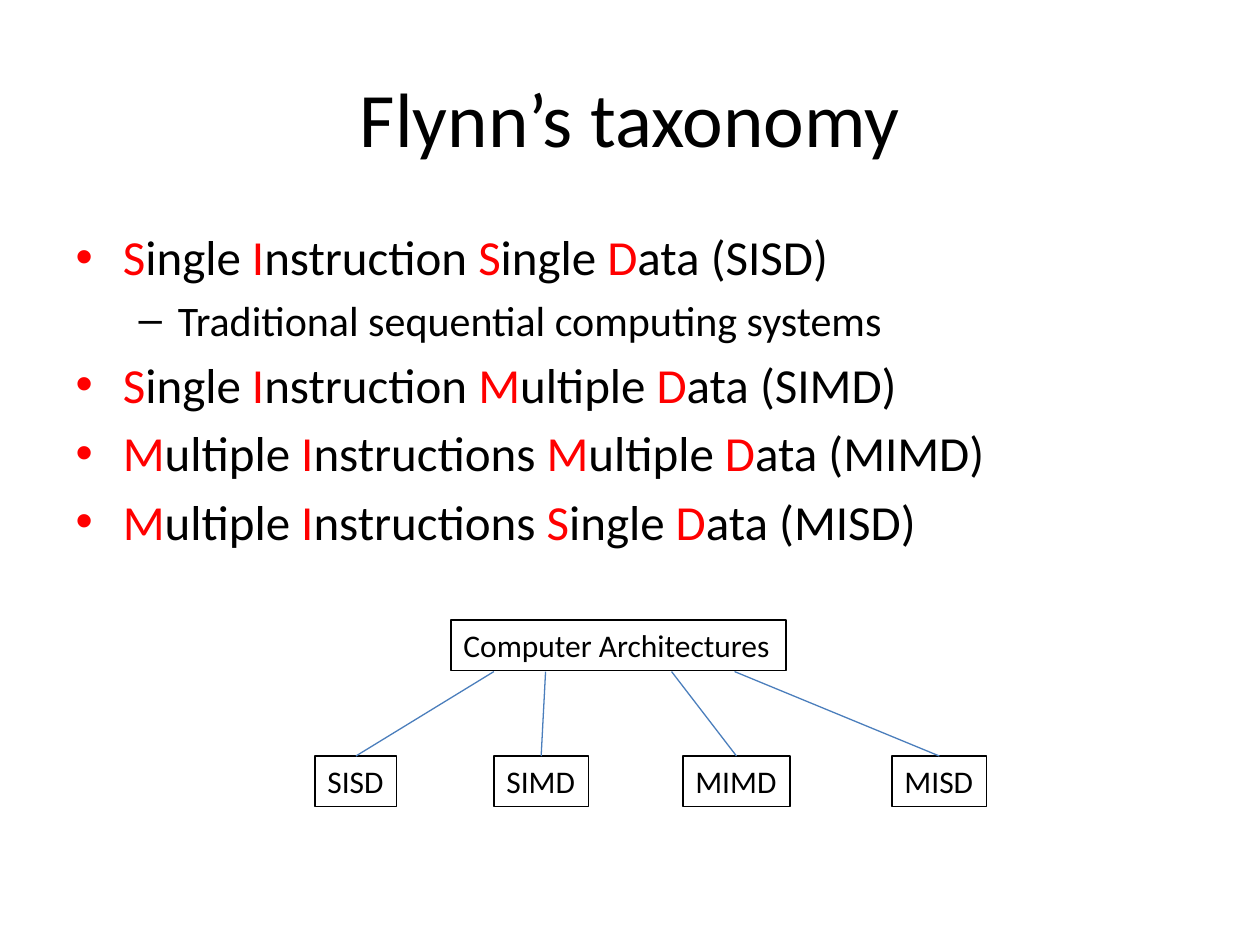
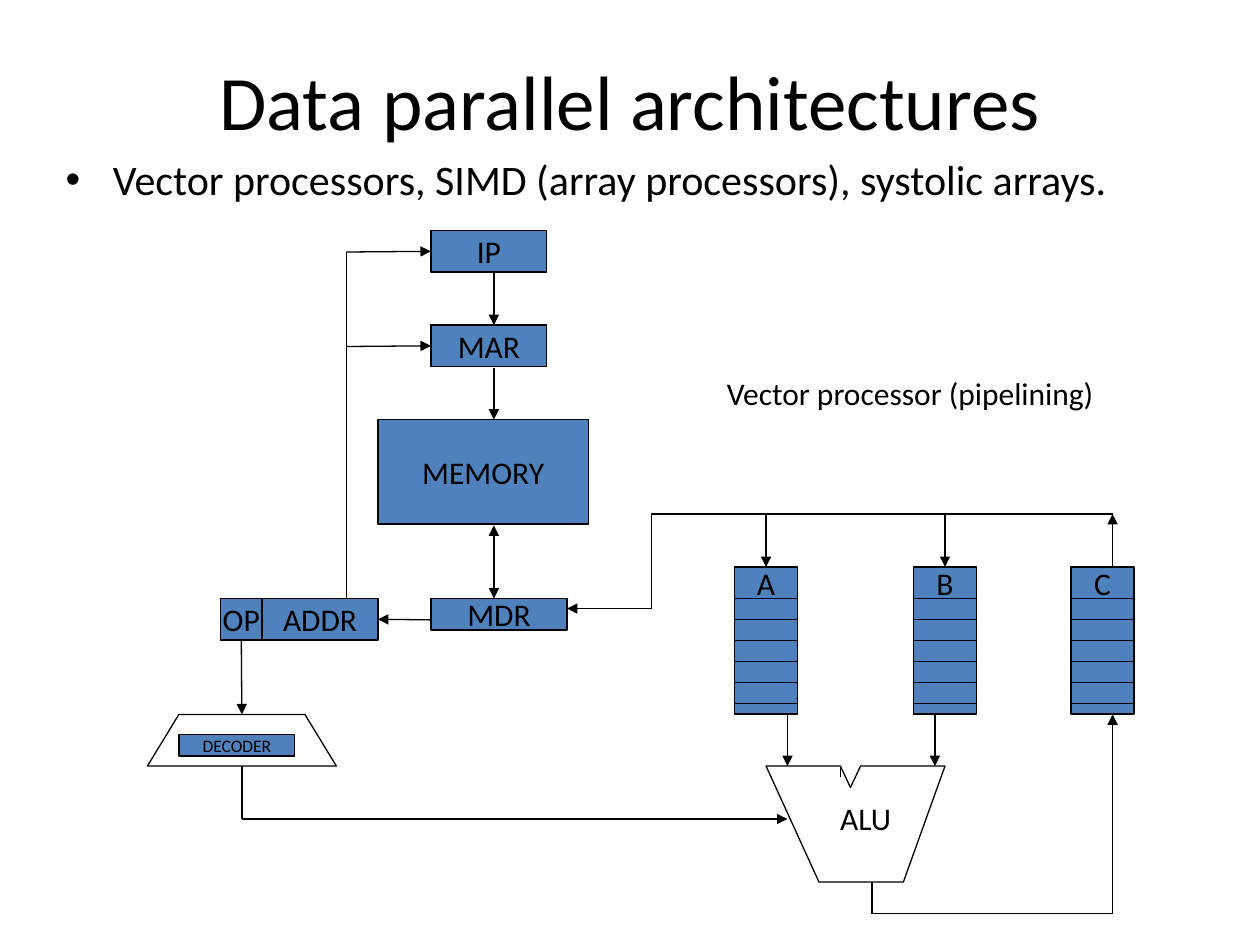
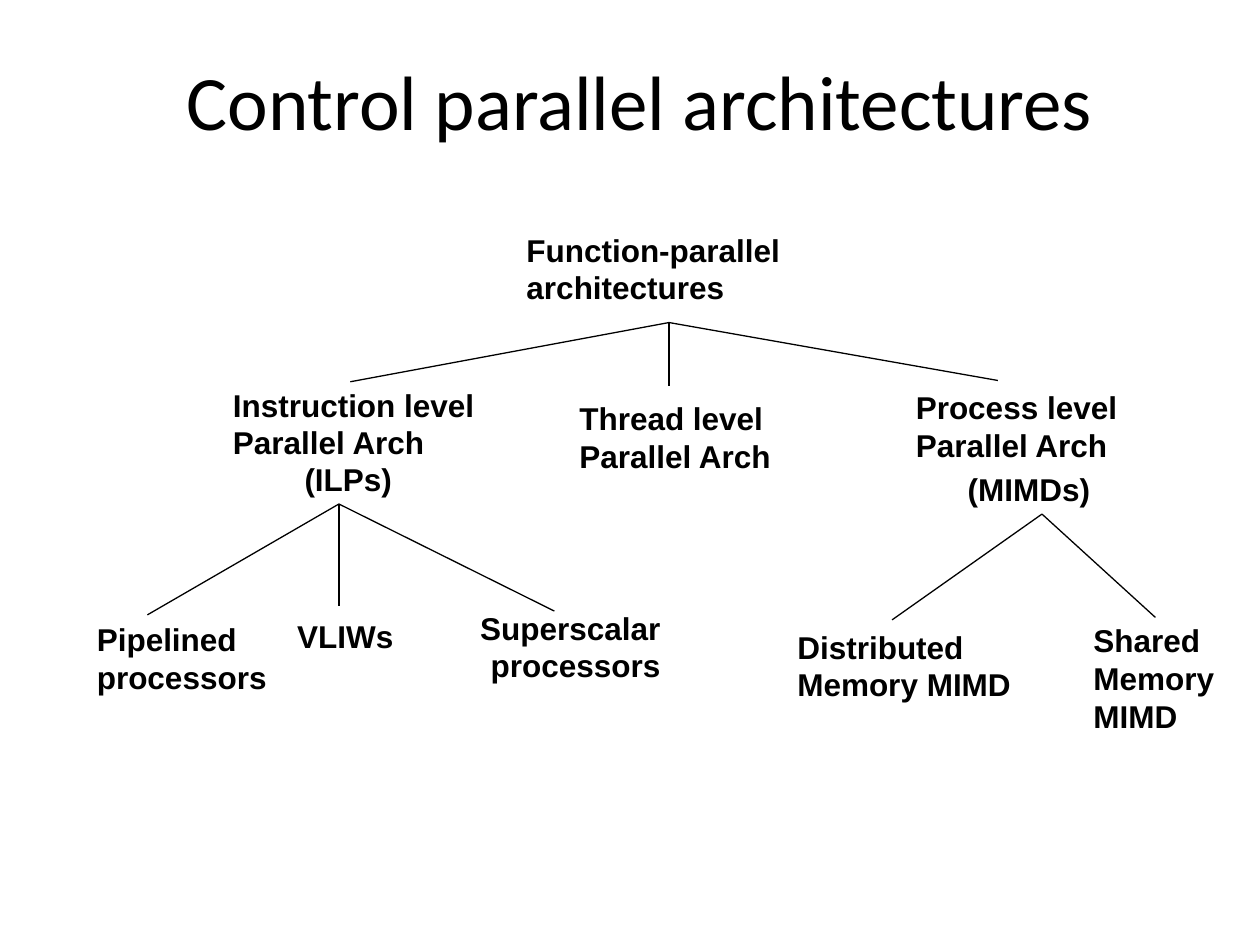
from lxml.etree import SubElement
from pptx import Presentation
from pptx.dml.color import RGBColor
from pptx.enum.shapes import MSO_CONNECTOR, MSO_SHAPE
from pptx.enum.text import MSO_ANCHOR, MSO_AUTO_SIZE, PP_ALIGN
from pptx.oxml.ns import qn
from pptx.util import Inches, Pt

BLACK = RGBColor(0x00, 0x00, 0x00)
RED = RGBColor(0xFF, 0x00, 0x00)
BLUE = RGBColor(0x4F, 0x81, 0xBD)
BRANCH_BLUE = RGBColor(0x4B, 0x7E, 0xBC)
LINE_WIDTH = Pt(0.75)
TOP, LEFT, BOTTOM, RIGHT = range(4)
TITLE_AND_BODY, TITLE_ONLY = 1, 5


class SlideBuilder:
    def __init__(self):
        self.deck = Presentation()
        self.deck.slide_width = Inches(10)
        self.deck.slide_height = Inches(7.5)
        self.page = None

    def new_page(self, layout, title, left, top):
        self.page = self.deck.slides.add_slide(self.deck.slide_layouts[layout])
        box = self.page.shapes.title
        self.place(box, left, top, 9, 1.25)
        box.text_frame.text = title
        paragraph = box.text_frame.paragraphs[0]
        paragraph.alignment = PP_ALIGN.CENTER
        self.style(paragraph.runs[0], 44)

    def place(self, box, left, top, width, height):
        box.left, box.top = Inches(left), Inches(top)
        box.width, box.height = Inches(width), Inches(height)

    def style(self, span, size, color=BLACK, name="Calibri", bold=None):
        span.font.size = Pt(size)
        span.font.name = name
        span.font.bold = bold
        span.font.color.rgb = color

    def body(self, items, left, top, width, height):
        box = self.page.placeholders[1]
        self.place(box, left, top, width, height)
        frame = box.text_frame
        frame.auto_size = MSO_AUTO_SIZE.NONE
        for index, (level, size, spans) in enumerate(items):
            paragraph = frame.add_paragraph() if index else frame.paragraphs[0]
            paragraph.level = level
            if not index:
                paragraph.space_before = Pt(0)
            for text, color in spans:
                span = paragraph.add_run()
                span.text = text
                self.style(span, size, color)

    def label(self, text, left, top, width, height, outlined=False, **look):
        box = self.page.shapes.add_textbox(
            Inches(left), Inches(top), Inches(width), Inches(height))
        if outlined:
            box.line.color.rgb = BLACK
            box.line.width = LINE_WIDTH
        self.fill_text(box, text, PP_ALIGN.LEFT, 18, **look)
        return box

    def caption(self, text, left, top, width, height, align=PP_ALIGN.LEFT):
        box = self.label(text, left, top, width, height, name="Arial", bold=True)
        frame = box.text_frame
        frame.word_wrap = True
        frame.vertical_anchor = MSO_ANCHOR.BOTTOM
        frame.paragraphs[0].alignment = align

    def fill_text(self, box, text, align, size, **look):
        frame = box.text_frame
        frame.text = text
        frame.word_wrap = False
        frame.paragraphs[0].alignment = align
        self.style(frame.paragraphs[0].runs[0], size, **look)

    def block(self, left, top, width, height, text="", size=18):
        box = self.page.shapes.add_shape(
            MSO_SHAPE.RECTANGLE,
            Inches(left), Inches(top), Inches(width), Inches(height))
        box.shadow.inherit = False
        box.fill.solid()
        box.fill.fore_color.rgb = BLUE
        box.line.color.rgb = BLACK
        box.line.width = LINE_WIDTH
        if text:
            box.text_frame.vertical_anchor = MSO_ANCHOR.MIDDLE
            self.fill_text(box, text, PP_ALIGN.CENTER, size)
        return box

    def outline(self, points):
        corners = [(Inches(x), Inches(y)) for x, y in points]
        builder = self.page.shapes.build_freeform(*corners[0])
        builder.add_line_segments(corners[1:], close=True)
        shape = builder.convert_to_shape()
        shape.shadow.inherit = False
        shape.fill.background()
        shape.line.color.rgb = BLACK
        shape.line.width = LINE_WIDTH

    def line(self, start, end, color=BLACK, heads=(), begin_at=None, end_at=None):
        link = self.page.shapes.add_connector(
            MSO_CONNECTOR.STRAIGHT,
            *(Inches(value) for value in (*start, *end)))
        if begin_at:
            link.begin_connect(*begin_at)
        if end_at:
            link.end_connect(*end_at)
        link.line.color.rgb = color
        link.line.width = LINE_WIDTH
        properties = link.element.spPr
        for head in heads:
            SubElement(properties.find(qn("a:ln")), qn(f"a:{head}"), type="triangle")
        SubElement(properties, qn("a:effectLst"))

    def arrow(self, start, end, **joins):
        self.line(start, end, heads=("tailEnd",), **joins)


def initials_in_red(name, code):
    spans = []
    for word in name.split():
        spans += [(word[0], RED), (word[1:] + " ", BLACK)]
    spans[-1] = (f"{spans[-1][0]}({code})", BLACK)
    return spans


def taxonomy_page(slides):
    slides.new_page(TITLE_AND_BODY, "Flynn’s taxonomy", 0.5, 0.3)
    classes = [
        ("Single Instruction Single Data", "SISD"),
        ("Single Instruction Multiple Data", "SIMD"),
        ("Multiple Instructions Multiple Data", "MIMD"),
        ("Multiple Instructions Single Data", "MISD"),
    ]
    items = [(0, 28, initials_in_red(*entry)) for entry in classes]
    items.insert(1, (1, 24, [("Traditional sequential computing systems", BLACK)]))
    slides.body(items, 0.5, 1.75, 9, 2.83)

    slides.label("Computer Architectures", 3.58, 4.92, 2.66, 0.4, outlined=True)
    leaves = [(2.5, 0.65, 3.92), (3.92, 0.75, 4.33),
              (5.42, 0.85, 5.33), (7.08, 0.75, 5.83)]
    for (_, code), (left, width, root_x) in zip(classes, leaves):
        leaf = slides.label(code, left, 6, width, 0.4, outlined=True)
        slides.line((left + width / 2, 6), (root_x, 5.33), BRANCH_BLUE,
                    begin_at=(leaf, TOP))


def register(slides, name, left):
    header = slides.block(left, 4.5, 0.5, 0.25, name)
    cell = 1 / 6
    for row in range(5):
        slides.block(left, 4.75 + row * cell, 0.5, cell)
    slides.block(left, 4.75 + 5 * cell, 0.5, cell / 2)
    return header


def data_parallel_page(slides):
    slides.new_page(TITLE_AND_BODY, "Data parallel architectures", 0.5, 0.17)
    summary = "Vector processors, SIMD (array processors), systolic arrays."
    slides.body([(0, 24, [(summary, BLACK)])], 0.42, 1.17, 9, 0.83)

    pointer = slides.block(3.42, 1.83, 0.92, 0.33, "IP")
    address_register = slides.block(3.42, 2.58, 0.92, 0.33, "MAR")
    slides.block(3, 3.33, 1.67, 0.83, "MEMORY")
    slides.block(3.42, 4.75, 1.08, 0.25, "MDR")
    address = slides.block(2.08, 4.75, 0.92, 0.33, "ADDR")
    opcode = slides.block(1.75, 4.75, 0.33, 0.33, "OP")

    slides.arrow((3.92, 2.17), (3.92, 2.58))
    slides.arrow((3.92, 2.92), (3.92, 3.33))
    slides.line((3.92, 4.17), (3.92, 4.75), heads=("headEnd", "tailEnd"))
    slides.arrow((3.42, 4.92), (3, 4.92), end_at=(address, RIGHT))
    slides.line((2.75, 4.75), (2.75, 2))
    slides.arrow((2.75, 2), (3.42, 2), end_at=(pointer, LEFT))
    slides.arrow((2.75, 2.75), (3.42, 2.75), end_at=(address_register, LEFT))

    slides.outline([(1.42, 5.67), (2.42, 5.67), (2.67, 6.08), (1.17, 6.08)])
    slides.block(1.42, 5.83, 0.92, 0.17, "DECODER", 10)
    slides.arrow((1.92, 5.08), (1.92, 5.67), begin_at=(opcode, BOTTOM))
    slides.line((1.92, 6.08), (1.92, 6.5))
    slides.arrow((1.92, 6.5), (6.25, 6.5))

    slides.line((5.17, 4.08), (8.83, 4.08))
    slides.line((5.17, 4.08), (5.17, 4.83))
    slides.arrow((5.17, 4.83), (4.5, 4.83))
    for name, left in (("A", 5.83), ("B", 7.25)):
        header = register(slides, name, left)
        slides.arrow((left + 0.25, 4.08), (left + 0.25, 4.5), end_at=(header, TOP))
    register(slides, "C", 8.5)
    slides.arrow((8.83, 4.5), (8.83, 4.08))

    slides.outline([(6.08, 6.08), (6.67, 6.08), (6.75, 6.25), (6.83, 6.08),
                    (7.5, 6.08), (7.17, 7), (6.5, 7)])
    slides.line((6.67, 6.08), (6.67, 6.17))
    slides.label("ALU", 6.57, 6.29, 0.69, 0.4)
    for x in (6.25, 7.42):
        slides.arrow((x, 5.67), (x, 6.08))
    slides.line((6.92, 7), (6.92, 7.25))
    slides.line((6.92, 7.25), (8.83, 7.25))
    slides.arrow((8.83, 7.25), (8.83, 5.67))
    slides.label("Vector processor (pipelining)", 5.67, 2.92, 3.15, 0.4)


def control_parallel_page(slides):
    slides.new_page(TITLE_ONLY, "Control parallel architectures", 0.58, 0.17)
    left_captions = [
        ("Function-parallel architectures", 4.08, 1.58, 3.25, 0.9),
        ("Instruction level Parallel Arch", 1.75, 3, 2.28, 0.71),
        ("Thread level Parallel Arch", 4.5, 2.92, 2.46, 0.9),
        ("Process level Parallel Arch", 7.17, 2.83, 2.4, 0.9),
        ("Pipelined processors", 0.67, 4.67, 2.28, 0.9),
        ("Distributed Memory MIMD", 6.23, 4.33, 2.08, 1.3),
        ("Shared Memory MIMD", 8.58, 4.58, 1.64, 1.3),
    ]
    right_captions = [
        ("(ILPs)", 2.08, 3.5, 1.13, 0.5),
        ("(MIMDs)", 7.25, 3.58, 1.5, 0.5),
        ("VLIWs", 2, 4.75, 1.22, 0.5),
        ("Superscalar processors", 3.17, 4.58, 2.17, 0.9),
    ]
    for caption in left_captions:
        slides.caption(*caption)
    for caption in right_captions:
        slides.caption(*caption, align=PP_ALIGN.RIGHT)

    branches = {
        (5.31, 2.56): [(2.78, 3.03), (5.31, 3.06), (7.92, 3.02)],
        (2.69, 4): [(1.17, 4.88), (2.69, 4.81), (4.4, 4.85)],
        (8.27, 4.08): [(7.08, 4.92), (9.17, 4.9)],
    }
    for root, ends in branches.items():
        for end in ends:
            slides.line(root, end)


def main():
    slides = SlideBuilder()
    taxonomy_page(slides)
    data_parallel_page(slides)
    control_parallel_page(slides)
    slides.deck.save("out.pptx")


if __name__ == "__main__":
    main()
